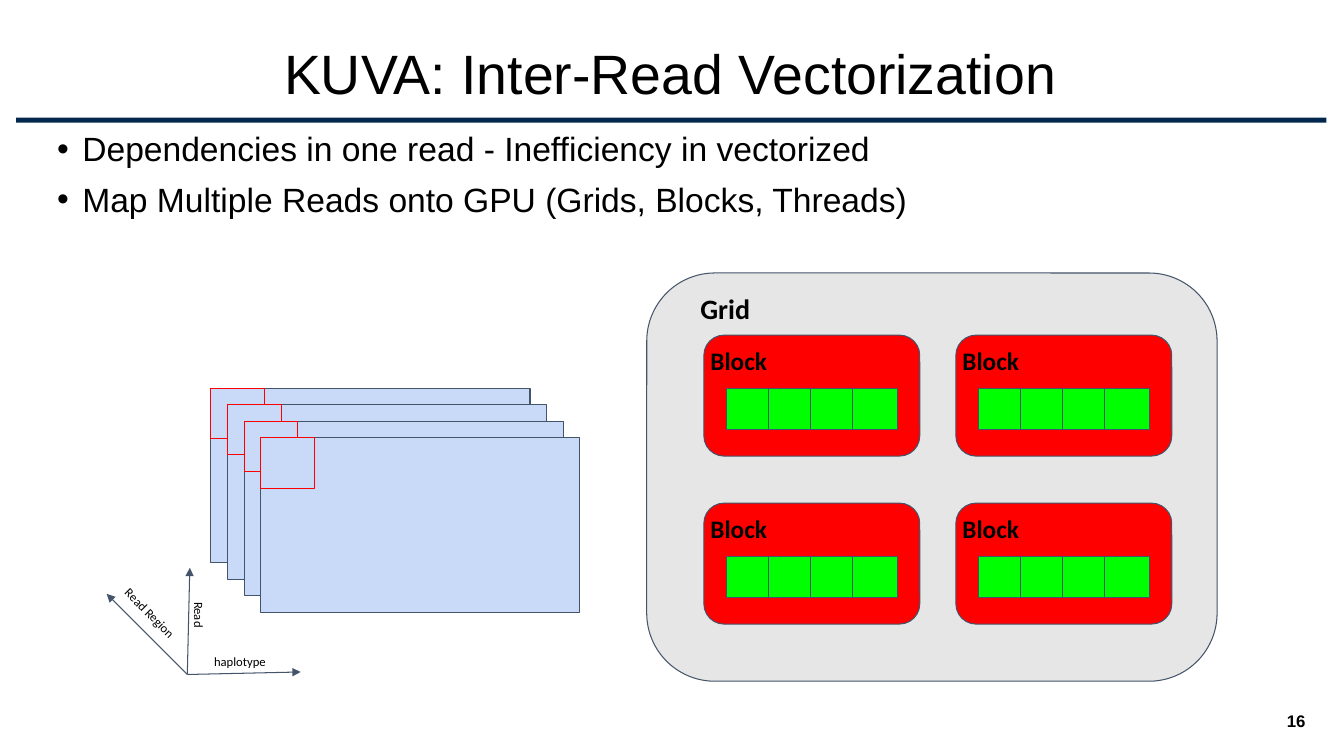
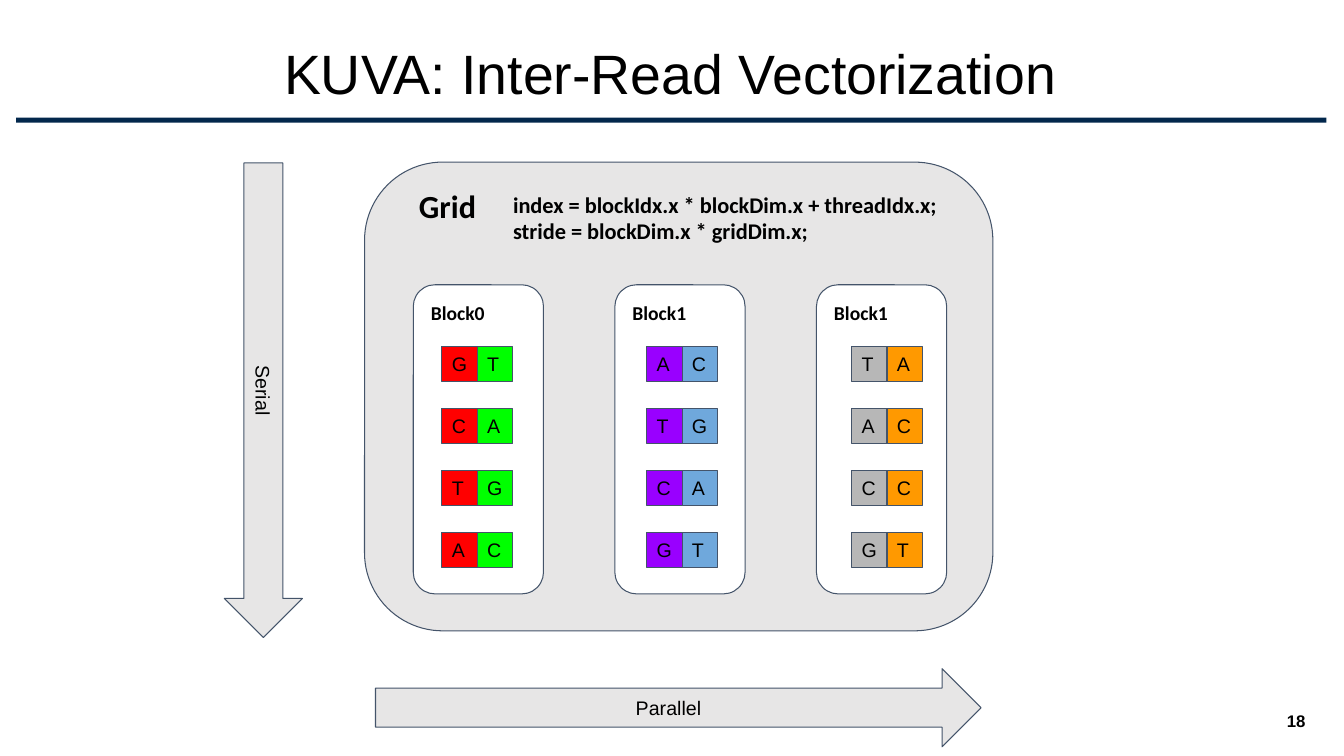
from dataclasses import dataclass
from itertools import product

import lxml.etree
import pptx
import pptx.dml.color
import pptx.enum.shapes
import pptx.enum.text
import pptx.oxml.ns
import pptx.shapes.autoshape
import pptx.slide
import pptx.text.text
import pptx.util

RGBColor = pptx.dml.color.RGBColor
Shape = pptx.enum.shapes.MSO_SHAPE
Align = pptx.enum.text.PP_ALIGN
Anchor = pptx.enum.text.MSO_ANCHOR

# Slide size and its grid of square cells
SLIDE_WIDTH = pptx.util.Emu(12192000)
SLIDE_HEIGHT = pptx.util.Inches(7.5)
COLUMNS, ROWS = 160, 90

# Colours
BLACK = RGBColor(0x00, 0x00, 0x00)
WHITE = RGBColor(0xFF, 0xFF, 0xFF)
NAVY = RGBColor(0x02, 0x27, 0x4C)
SLATE = RGBColor(0x44, 0x54, 0x6A)
PALE_BLUE = RGBColor(0xC9, 0xDA, 0xF8)
LIGHT_GRAY = RGBColor(0xE7, 0xE6, 0xE6)
RED = RGBColor(0xFF, 0x00, 0x00)
GREEN = RGBColor(0x00, 0xFF, 0x00)
PURPLE = RGBColor(0x99, 0x00, 0xFF)
BLUE = RGBColor(0x6F, 0xA8, 0xDC)
GRAY = RGBColor(0xB7, 0xB7, 0xB7)
ORANGE = RGBColor(0xFF, 0x99, 0x00)

TITLE = "KUVA: Inter-Read Vectorization"
TITLE_ONLY_LAYOUT, CONTENT_LAYOUT = 5, 1


@dataclass(frozen=True)
class Box:
    """A rectangle in grid columns and rows."""
    left: float
    top: float
    width: float
    height: float

    def shifted(self, columns: float, rows: float) -> "Box":
        return Box(self.left + columns, self.top + rows, self.width, self.height)

    def lengths(self) -> tuple[int, int, int, int]:
        return (across(self.left), down(self.top), across(self.width), down(self.height))


@dataclass(frozen=True)
class TextStyle:
    size: float
    font: str = "Arial"
    bold: bool = False
    align: Align = Align.LEFT
    anchor: Anchor = Anchor.TOP
    margin: float = 0.1


@dataclass(frozen=True)
class Label:
    text: str
    box: Box
    rotation: float = 0


@dataclass(frozen=True)
class ThreadBlock:
    name: str
    colors: tuple[RGBColor, RGBColor]
    pairs: tuple[str, ...]


TITLE_STYLE = TextStyle(39.6, align=Align.CENTER, anchor=Anchor.MIDDLE, margin=0.05)
BODY_STYLE = TextStyle(24, margin=0.05)
NUMBER_STYLE = TextStyle(12, bold=True, align=Align.RIGHT, anchor=Anchor.MIDDLE, margin=0.05)
AXIS_STYLE = TextStyle(9, "Calibri")
BASE_STYLE = TextStyle(14, anchor=Anchor.MIDDLE)
ARROW_STYLE = TextStyle(14, align=Align.CENTER, anchor=Anchor.MIDDLE)

THREAD_BLOCKS = (
    ThreadBlock("Block0", (RED, GREEN), ("GT", "CA", "TG", "AC")),
    ThreadBlock("Block1", (PURPLE, BLUE), ("AC", "TG", "CA", "GT")),
    ThreadBlock("Block1", (GRAY, ORANGE), ("TA", "AC", "CC", "GT")),
)


def across(columns: float) -> int:
    return round(SLIDE_WIDTH * columns / COLUMNS)


def down(rows: float) -> int:
    return round(SLIDE_HEIGHT * rows / ROWS)


def heading(size: float) -> TextStyle:
    return TextStyle(size, "Calibri", bold=True)


# Drawing helpers
def write(text_frame: pptx.text.text.TextFrame, text: str, style: TextStyle) -> None:
    text_frame.text = text
    text_frame.word_wrap = True
    text_frame.auto_size = pptx.enum.text.MSO_AUTO_SIZE.NONE
    text_frame.vertical_anchor = style.anchor
    text_frame.margin_left = text_frame.margin_right = pptx.util.Inches(0.1)
    text_frame.margin_top = text_frame.margin_bottom = pptx.util.Inches(style.margin)
    for paragraph in text_frame.paragraphs:
        paragraph.alignment = style.align
        for run in paragraph.runs:
            run.font.name = style.font
            run.font.size = pptx.util.Pt(style.size)
            run.font.bold = style.bold
            run.font.color.rgb = BLACK


def add_text(slide: pptx.slide.Slide, label: Label, style: TextStyle) -> None:
    shape = slide.shapes.add_textbox(*label.box.lengths())
    shape.rotation = label.rotation
    write(shape.text_frame, label.text, style)


def add_box(slide: pptx.slide.Slide, box: Box, fill: RGBColor, line: RGBColor | None = SLATE,
            kind: Shape = Shape.RECTANGLE) -> pptx.shapes.autoshape.Shape:
    shape = slide.shapes.add_shape(kind, *box.lengths())
    shape.shadow.inherit = False
    shape.fill.solid()
    shape.fill.fore_color.rgb = fill
    if line is None:
        shape.line.fill.background()
    else:
        shape.line.color.rgb = line
        shape.line.width = pptx.util.Pt(0.75)
    return shape


def add_axis(slide: pptx.slide.Slide, start: tuple[float, float], end: tuple[float, float]) -> None:
    connector = slide.shapes.add_connector(
        pptx.enum.shapes.MSO_CONNECTOR.STRAIGHT,
        across(start[0]), down(start[1]), across(end[0]), down(end[1]))
    connector.line.color.rgb = SLATE
    connector.line.width = pptx.util.Pt(0.75)
    qualified = pptx.oxml.ns.qn
    properties = connector.element.spPr
    outline = properties.find(qualified("a:ln"))
    lxml.etree.SubElement(outline, qualified("a:tailEnd"), type="triangle")
    lxml.etree.SubElement(properties, qualified("a:effectLst"))


def place(placeholder: pptx.shapes.autoshape.Shape, box: Box, text: str, style: TextStyle) -> None:
    placeholder.left, placeholder.top, placeholder.width, placeholder.height = box.lengths()
    write(placeholder.text_frame, text, style)
    for paragraph in placeholder.text_frame.paragraphs:
        paragraph.line_spacing = 0.9


# Title, rule and page number shared by the slides
def start_slide(presentation, layout: int, number: int) -> pptx.slide.Slide:
    slide = presentation.slides.add_slide(presentation.slide_layouts[layout])
    add_box(slide, Box(1.92, 14, 156, 0.6), NAVY, line=None)
    place(slide.shapes.title, Box(5.6, 4.8, 148.4, 8.6), TITLE, TITLE_STYLE)
    add_text(slide, Label(str(number), Box(120.6, 83.4, 36, 4.8)), NUMBER_STYLE)
    return slide


def fill_bullets(slide: pptx.slide.Slide, items: tuple[str, ...]) -> None:
    body = slide.placeholders[1]
    place(body, Box(5.6, 15.2, 148.4, 65.8), "\n".join(items), BODY_STYLE)
    indent = pptx.util.Inches(0.25)
    for index, paragraph in enumerate(body.text_frame.paragraphs):
        paragraph.space_before = pptx.util.Pt(10 if index else 0)
        properties = paragraph._p.get_or_add_pPr()
        properties.set("marL", str(indent))
        properties.set("indent", str(-indent))


def draw_read_stack(slide: pptx.slide.Slide) -> None:
    # Matrices behind one another, then their first tiles
    for box, line in ((Box(25.1, 46.2, 38, 20.8), SLATE), (Box(25.1, 46.2, 6.4, 6), RED)):
        for depth in range(4):
            add_box(slide, box.shifted(1.98 * depth, 1.97 * depth), PALE_BLUE, line)
    # Axes
    for end in ((12.7, 70.7), (22.6, 67.6), (35.8, 80)):
        add_axis(slide, (22.3, 80.3), end)
    for label in (
        Label("Read Region", Box(12.3, 72.3, 14, 4.2), 45),
        Label("Read", Box(19.6, 72.5, 8.2, 4.2), 90),
        Label("haplotype", Box(24.3, 76.6, 10.8, 4.2)),
    ):
        add_text(slide, label, AXIS_STYLE)


def draw_gpu_grid(slide: pptx.slide.Slide) -> None:
    add_box(slide, Box(77, 32.5, 67.9, 48.6), LIGHT_GRAY, kind=Shape.ROUNDED_RECTANGLE)
    add_text(slide, Label("Grid", Box(82.2, 33.5, 54, 6.5)), heading(20))
    for row, column in product(range(2), repeat=2):
        block = Box(83.8, 39.9, 25.7, 14.4).shifted(30 * column, 20 * row)
        add_box(slide, block, RED, kind=Shape.ROUNDED_RECTANGLE)
        for thread in range(4):
            add_box(slide, Box(block.left + 2.7 + 5 * thread, block.top + 6.4, 5.4, 4.8), GREEN)
        add_text(slide, Label("Block", Box(block.left - 0.4, block.top, 20.3, 6)), heading(18))


def draw_indexed_grid(slide: pptx.slide.Slide) -> None:
    add_box(slide, Box(43.4, 19.3, 74.8, 55.8), LIGHT_GRAY, kind=Shape.ROUNDED_RECTANGLE)
    add_text(slide, Label("Grid", Box(48.7, 21, 54, 7.1)), heading(23))
    code = "index = blockIdx.x * blockDim.x + threadIdx.x;\nstride = blockDim.x * gridDim.x;"
    add_text(slide, Label(code, Box(59.9, 21.5, 54, 11.8)), heading(16))
    for column, block in enumerate(THREAD_BLOCKS):
        frame = Box(49.2, 33.9, 15.5, 36.8).shifted(24 * column, 0)
        add_box(slide, frame, WHITE, kind=Shape.ROUNDED_RECTANGLE)
        add_text(slide, Label(block.name, Box(frame.left + 0.9, frame.top + 0.7, 12.4, 5.3)), heading(14))
        for row, pair in enumerate(block.pairs):
            for thread, (base, color) in enumerate(zip(pair, block.colors)):
                cell = Box(52.6, 41.3, 4.2, 4.1).shifted(24.4 * column + 4.2 * thread, 7.37 * row)
                write(add_box(slide, cell, color).text_frame, base, BASE_STYLE)


def draw_direction_arrows(slide: pptx.slide.Slide) -> None:
    for label in (
        Label("Parallel", Box(44.7, 79.6, 72.1, 9.3)),
        Label("Serial", Box(3.1, 43, 56.5, 9.3), 90),
    ):
        arrow = add_box(slide, label.box, LIGHT_GRAY, kind=Shape.RIGHT_ARROW)
        arrow.rotation = label.rotation
        write(arrow.text_frame, label.text, ARROW_STYLE)


def main() -> None:
    presentation = pptx.Presentation()
    presentation.slide_width = SLIDE_WIDTH
    presentation.slide_height = SLIDE_HEIGHT

    # Mapping reads onto the GPU
    slide = start_slide(presentation, CONTENT_LAYOUT, 16)
    fill_bullets(slide, (
        "Dependencies in one read - Inefficiency in vectorized",
        "Map Multiple Reads onto GPU (Grids, Blocks, Threads)",
    ))
    draw_read_stack(slide)
    draw_gpu_grid(slide)

    # Indexing reads by block and thread
    slide = start_slide(presentation, TITLE_ONLY_LAYOUT, 18)
    draw_indexed_grid(slide)
    draw_direction_arrows(slide)

    presentation.save("out.pptx")


if __name__ == "__main__":
    main()
